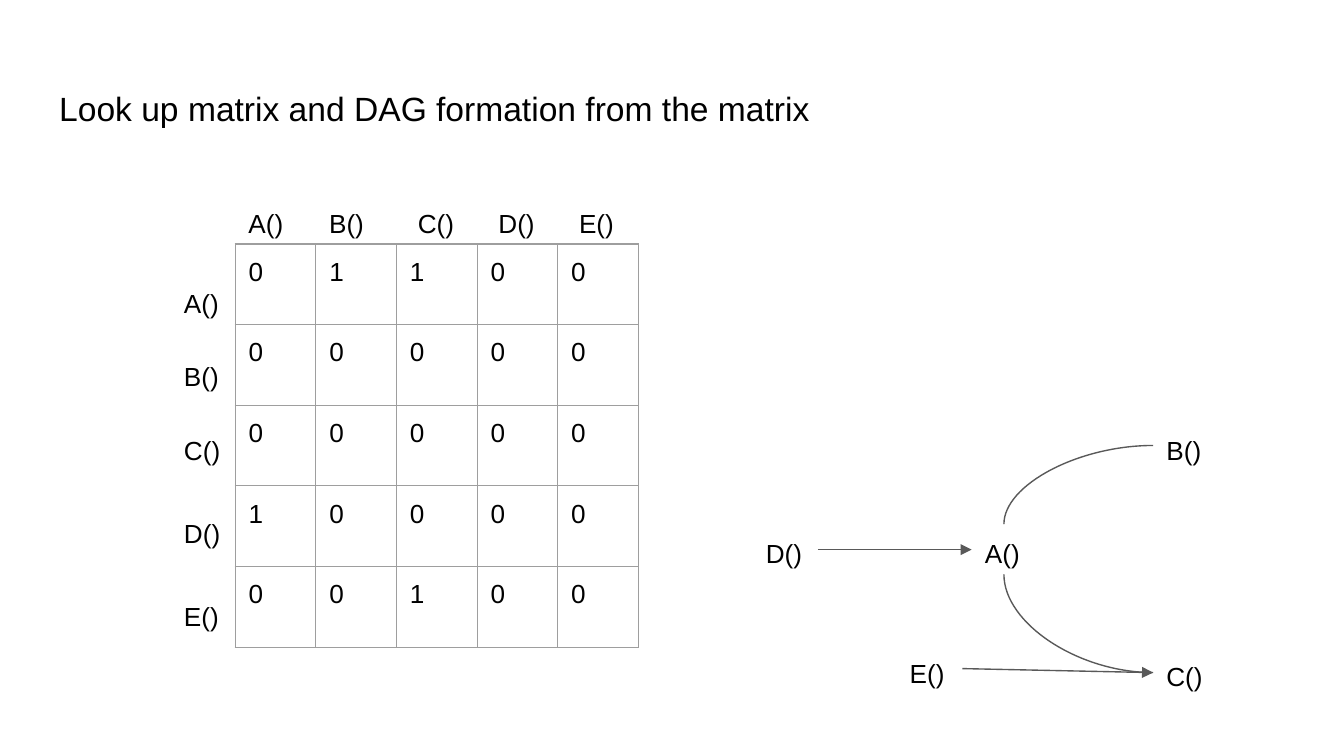
from lxml import etree
from pptx import Presentation
from pptx.dml.color import RGBColor
from pptx.enum.shapes import MSO_CONNECTOR
from pptx.enum.text import MSO_ANCHOR, MSO_AUTO_SIZE, PP_ALIGN
from pptx.oxml.ns import qn
from pptx.util import Pt

STRAIGHT, CURVE = MSO_CONNECTOR.STRAIGHT, MSO_CONNECTOR.CURVE
TOP, LEFT, NO_AUTOFIT = MSO_ANCHOR.TOP, PP_ALIGN.LEFT, MSO_AUTO_SIZE.NONE
PX = 4572  # 200 px to the inch
THEME = {
    "font": "Arial", "title": Pt(18), "body": Pt(14), "line": Pt(0.75),
    "ink": RGBColor(0, 0, 0), "edge": RGBColor(0x59, 0x59, 0x59), "grid": "9E9E9E",
}
INSET, CELL, MATRIX_SIDE = 20 * PX, 120 * PX, 656 * PX
LABEL_W, LABEL_H = 96 * PX, 74 * PX


def write(frame, text, size):
    frame.margin_left = frame.margin_right = INSET
    frame.margin_top = frame.margin_bottom = INSET
    frame.word_wrap = True
    paragraph = frame.paragraphs[0]
    paragraph.alignment = LEFT
    run = paragraph.add_run()
    run.text = text
    run.font.name, run.font.size = THEME["font"], size
    run.font.color.rgb = THEME["ink"]


def connect(kind, start, end):
    edge = slide.shapes.add_connector(kind, *(v * PX for v in start + end))
    edge.line.color.rgb, edge.line.width = THEME["edge"], THEME["line"]
    etree.SubElement(edge.element.spPr, qn("a:effectLst"))
    return edge


prs = Presentation()
prs.slide_width, prs.slide_height = 2000 * PX, 1125 * PX
slide = prs.slides.add_slide(prs.slide_layouts[5])

# Title
title = slide.shapes.title
title.left, title.top, title.width, title.height = (v * PX for v in (68, 111, 1864, 126))
write(title.text_frame, "Look up matrix and DAG formation from the matrix", THEME["title"])
title.text_frame.vertical_anchor = TOP
title.text_frame.auto_size = NO_AUTOFIT

# Look up matrix
matrix = ["01100", "00000", "00000", "10000", "00100"]
matrix_frame = slide.shapes.add_table(5, 5, 350 * PX, 363 * PX, MATRIX_SIDE, MATRIX_SIDE)
table = matrix_frame.table
table.first_row = table.horz_banding = False
for r, values in enumerate(matrix):
    table.rows[r].height = table.columns[r].width = CELL
    for c, value in enumerate(values):
        cell = table.cell(r, c)
        write(cell.text_frame, value, THEME["body"])
        cell.margin_left = cell.margin_right = INSET
        cell.margin_top = cell.margin_bottom = INSET
        cell_props = cell._tc.get_or_add_tcPr()
        for border in ("a:lnL", "a:lnR", "a:lnT", "a:lnB"):
            line = etree.SubElement(cell_props, qn(border), w=str(THEME["line"]))
            fill = etree.SubElement(line, qn("a:solidFill"))
            etree.SubElement(fill, qn("a:srgbClr"), val=THEME["grid"])
        cell.fill.background()
matrix_frame.width = matrix_frame.height = MATRIX_SIDE

# Function names: matrix columns, matrix rows, graph nodes
names = ["A()", "B()", "C()", "D()", "E()"]
column_spots = [(x, 289) for x in (350, 470, 602, 722, 842)]
row_spots = [(254, y) for y in (408, 516, 626, 750, 874)]
node_spots = [(1446, 780), (1716, 626), (1716, 963), (1120, 780), (1334, 958)]
for spots in (column_spots, row_spots, node_spots):
    for name, (x, y) in zip(names, spots):
        label = slide.shapes.add_textbox(x * PX, y * PX, LABEL_W, LABEL_H)
        write(label.text_frame, name, THEME["body"])

# Arrows D to A and E to C
for start, end in [((1217, 818), (1446, 818)), ((1432, 995), (1716, 1001))]:
    arrow = connect(STRAIGHT, start, end)
    etree.SubElement(arrow.line._get_or_add_ln(), qn("a:tailEnd"), type="triangle")

# Curves from B and C to A
for start, end in [((1716, 663), (1494, 780)), ((1716, 1001), (1494, 855))]:
    curve = connect(CURVE, start, end)
    curve.element.spPr.find(qn("a:prstGeom")).set("prst", "curvedConnector2")

prs.save("out.pptx")
